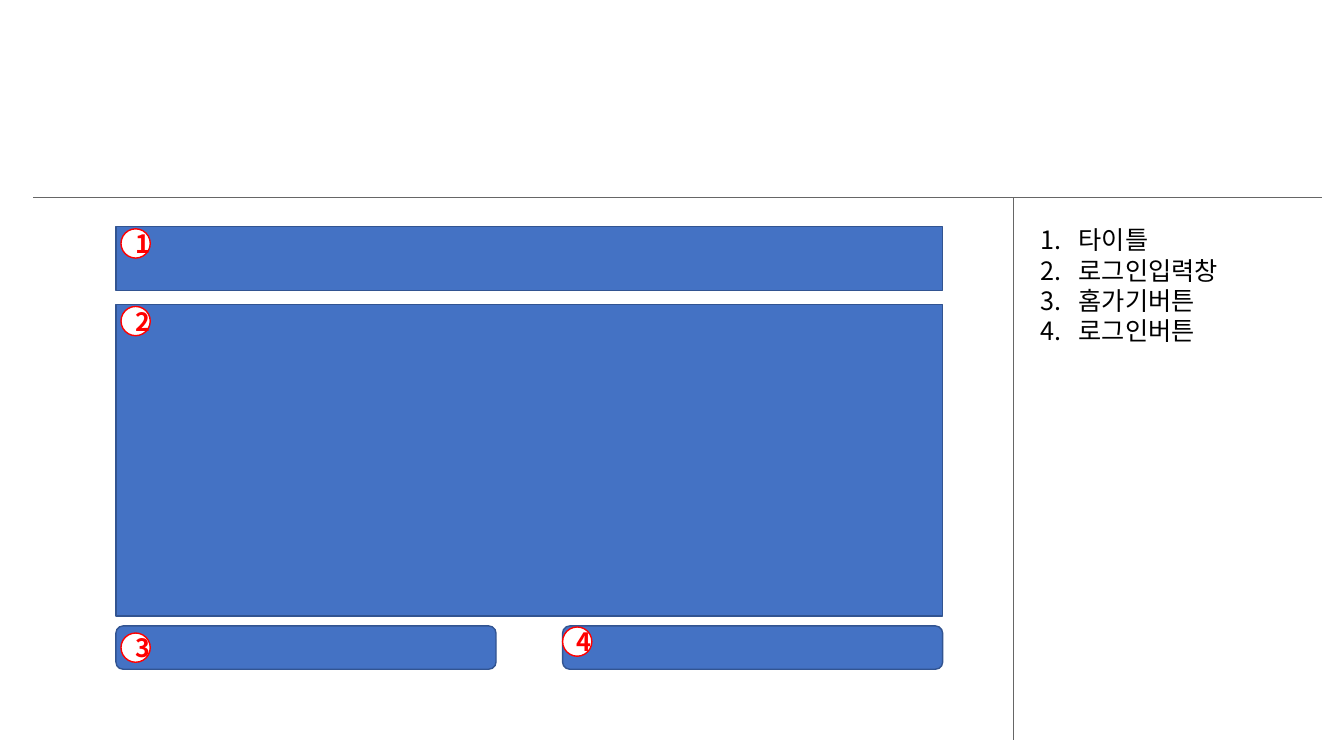
"""Build a login screen wireframe slide with numbered callouts."""
from lxml import etree
from pptx import Presentation
from pptx import util as u
from pptx.dml import color
from pptx.enum import shapes, text
from pptx.oxml import ns

WIDTH, HEIGHT = 13.33, 7.5
FONT = "Noto Sans CJK KR"
BLUE, NAVY, RED, WHITE, BLACK, GREY = "4472C4", "325491", "FF0000", "FFFFFF", "000000", "666666"
RULE_Y, DIVIDER_X = 1.96, 10.05
LEFT, PANEL_WIDTH, BUTTON_WIDTH, BUTTON_TOP, BADGE = 1.15, 8.2, 3.77, 6.21, 0.29
BUTTON_X = LEFT + PANEL_WIDTH - BUTTON_WIDTH
LABELS = ["타이틀", "로그인입력창", "홈가기버튼", "로그인버튼"]
PANELS = [
    ("RECTANGLE", LEFT, 2.25, PANEL_WIDTH, 0.63),
    ("RECTANGLE", LEFT, 3.02, PANEL_WIDTH, 3.09),
    ("ROUNDED_RECTANGLE", LEFT, BUTTON_TOP, BUTTON_WIDTH, 0.43),
    ("ROUNDED_RECTANGLE", BUTTON_X, BUTTON_TOP, BUTTON_WIDTH, 0.43),
]
BADGE_OFFSETS = [(0.05, 0.02), (0.05, 0.02), (0.05, 0.07), (0, 0.01)]


def paint(target, value):
    """Give a colour format a hex colour."""
    target.rgb = color.RGBColor.from_string(value)


def inches(*lengths):
    """Convert lengths in inches to slide units."""
    return [u.Inches(length) for length in lengths]


def add_line(page, *ends):
    """Draw a thin straight line without a shadow."""
    line = page.shapes.add_connector(shapes.MSO_CONNECTOR.STRAIGHT, *inches(*ends))
    paint(line.line.fill_color if hasattr(line.line, "fill_color") else line.line.color, GREY)
    line.line.width = u.Pt(0.5)
    etree.SubElement(line.element.spPr, ns.qn("a:effectLst"))


def add_block(page, kind, left, top, width, height, fill=BLUE, border=NAVY):
    """Draw a filled preset shape with a one-point border."""
    block = page.shapes.add_shape(
        getattr(shapes.MSO_SHAPE, kind), *inches(left, top, width, height))
    block.shadow.inherit = False
    block.fill.solid()
    paint(block.fill.fore_color, fill)
    paint(block.line.color, border)
    block.line.width = u.Pt(1)
    return block


def write(para, words, **formats):
    """Add a span in the slide font to a paragraph."""
    span = para.add_run()
    span.text = words
    hue = formats.pop("hue", BLACK)
    for name, value in {"name": FONT, "size": u.Pt(18), **formats}.items():
        setattr(span.font, name, value)
    paint(span.font.color, hue)
    east_asian = etree.SubElement(span.font._element, ns.qn("a:ea"))
    east_asian.set("typeface", FONT)


def add_badge(page, number, left, top):
    """Draw a round red number badge."""
    badge = add_block(page, "OVAL", left, top, BADGE, BADGE, WHITE, RED)
    para = badge.text_frame.paragraphs[0]
    para.alignment = text.PP_ALIGN.CENTER
    write(para, str(number), hue=RED, bold=True)


def add_numbered_list(page, items, *place):
    """Write an automatically numbered list in a text box."""
    frame = page.shapes.add_textbox(*inches(*place)).text_frame
    frame.word_wrap = True
    frame.auto_size = text.MSO_AUTO_SIZE.SHAPE_TO_FIT_TEXT
    for index, item in enumerate(items):
        para = frame.add_paragraph() if index else frame.paragraphs[0]
        layout = para._p.get_or_add_pPr()
        indent = u.Inches(0.38)
        layout.set("marL", str(indent))
        layout.set("indent", str(-indent))
        etree.SubElement(layout, ns.qn("a:buFont")).set("typeface", "+mj-lt")
        etree.SubElement(layout, ns.qn("a:buAutoNum")).set("type", "arabicPeriod")
        write(para, item)


def main():
    """Compose the slide and save it."""
    deck = Presentation()
    deck.slide_width, deck.slide_height = inches(WIDTH, HEIGHT)
    page = deck.slides.add_slide(deck.slide_layouts[6])
    add_line(page, 0.33, RULE_Y, 13.11, RULE_Y)
    add_line(page, DIVIDER_X, RULE_Y, DIVIDER_X, 7.34)
    for panel in PANELS:
        add_block(page, *panel)
    for number, (panel, offset) in enumerate(zip(PANELS, BADGE_OFFSETS), 1):
        add_badge(page, number, panel[1] + offset[0], panel[2] + offset[1])
    add_numbered_list(page, LABELS, 10.22, 2.18, 2.68, 1.31)
    deck.save("out.pptx")


main()
